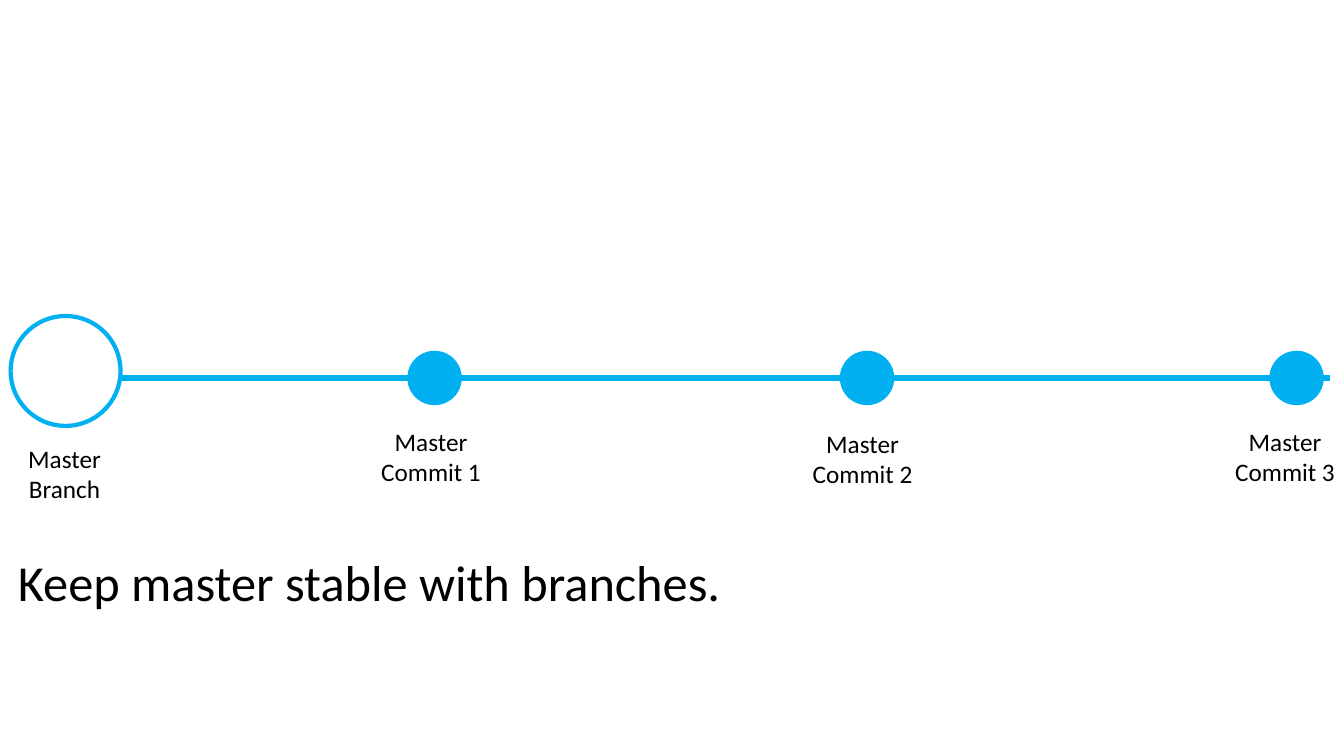
from dataclasses import dataclass

from lxml import etree
from pptx import Presentation
from pptx.dml.color import RGBColor
from pptx.enum import shapes, text
from pptx.oxml import ns
from pptx.util import Inches, Pt


@dataclass(frozen=True)
class Theme:
    """Colours, font and sizes of the slide."""
    blue: RGBColor = RGBColor(0x00, 0xB0, 0xF0)
    white: RGBColor = RGBColor(0xFF, 0xFF, 0xFF)
    black: RGBColor = RGBColor(0x00, 0x00, 0x00)
    font: str = "Calibri"
    label: int = 18
    body: int = 36
    rail: int = 4
    ring: int = 3


THEME = Theme()


def add_text(slide, box, lines, size, align, grow=False):
    """Write one paragraph per line into a box and return the frame."""
    frame = slide.shapes.add_textbox(*map(Inches, box)).text_frame
    frame.word_wrap = True
    if grow:
        frame.auto_size = text.MSO_AUTO_SIZE.SHAPE_TO_FIT_TEXT
    for i, line in enumerate(lines):
        para = frame.add_paragraph() if i else frame.paragraphs[0]
        para.alignment = align
        run = para.add_run()
        run.text = line
        run.font.size = Pt(size)
        run.font.name = THEME.font
        run.font.color.rgb = THEME.black
    return frame


def add_dot(slide, x, y, size, fill, line=None):
    """Draw a circle centred on a point."""
    dot = slide.shapes.add_shape(
        shapes.MSO_SHAPE.OVAL, Inches(x - size / 2), Inches(y - size / 2),
        Inches(size), Inches(size))
    dot.shadow.inherit = False
    dot.fill.solid()
    dot.fill.fore_color.rgb = fill
    if line is None:
        dot.line.fill.background()
    else:
        dot.line.color.rgb = line
        dot.line.width = Pt(THEME.ring)


def add_rail(slide, start, end, y):
    """Draw the horizontal branch line."""
    rail = slide.shapes.add_connector(
        shapes.MSO_CONNECTOR.STRAIGHT,
        Inches(start), Inches(y), Inches(end), Inches(y))
    rail.line.color.rgb = THEME.blue
    rail.line.width = Pt(THEME.rail)
    etree.SubElement(rail.element.spPr, ns.qn("a:effectLst"))


def add_branch(slide, box):
    """Draw the branch with its start ring, commits and labels."""
    left, top, width, height = box
    y = top + 0.62
    add_rail(slide, left + 0.18, left + width, y)
    add_dot(slide, left + 0.55, y - 0.07, 1.09, THEME.white, THEME.blue)
    commits = [
        (4.31, 3.65, 4.18, ["Master", "Commit 1"]),
        (8.6, 7.93, 4.2, ["Master Commit 2"]),
        (12.86, 12.12, 4.18, ["Master", "Commit 3"]),
    ]
    labels = [(left - 0.13, top + height - 0.71, 1.34, ["Master Branch"])]
    for x, edge, head, lines in commits:
        add_dot(slide, x, y, 0.54, THEME.blue)
        labels.append((edge, head, 1.25, lines))
    for edge, head, span, lines in labels:
        add_text(slide, (edge, head, span, 0.71), lines, THEME.label,
                 text.PP_ALIGN.CENTER, grow=True)


def add_body(slide, box):
    """Write the message below the branch."""
    frame = add_text(slide, box, ["Keep master stable with branches."],
                     THEME.body, text.PP_ALIGN.LEFT)
    frame.paragraphs[0].line_spacing = 0.9


def main():
    """Build and save the slide."""
    deck = Presentation()
    deck.slide_width, deck.slide_height = Inches(13.33), Inches(7.5)
    slide = deck.slides.add_slide(deck.slide_layouts[6])
    add_branch(slide, (0.1, 3.13, 13.09, 1.93))
    add_body(slide, (0.08, 5.49, 12.61, 2.01))
    deck.save("out.pptx")


if __name__ == "__main__":
    main()
